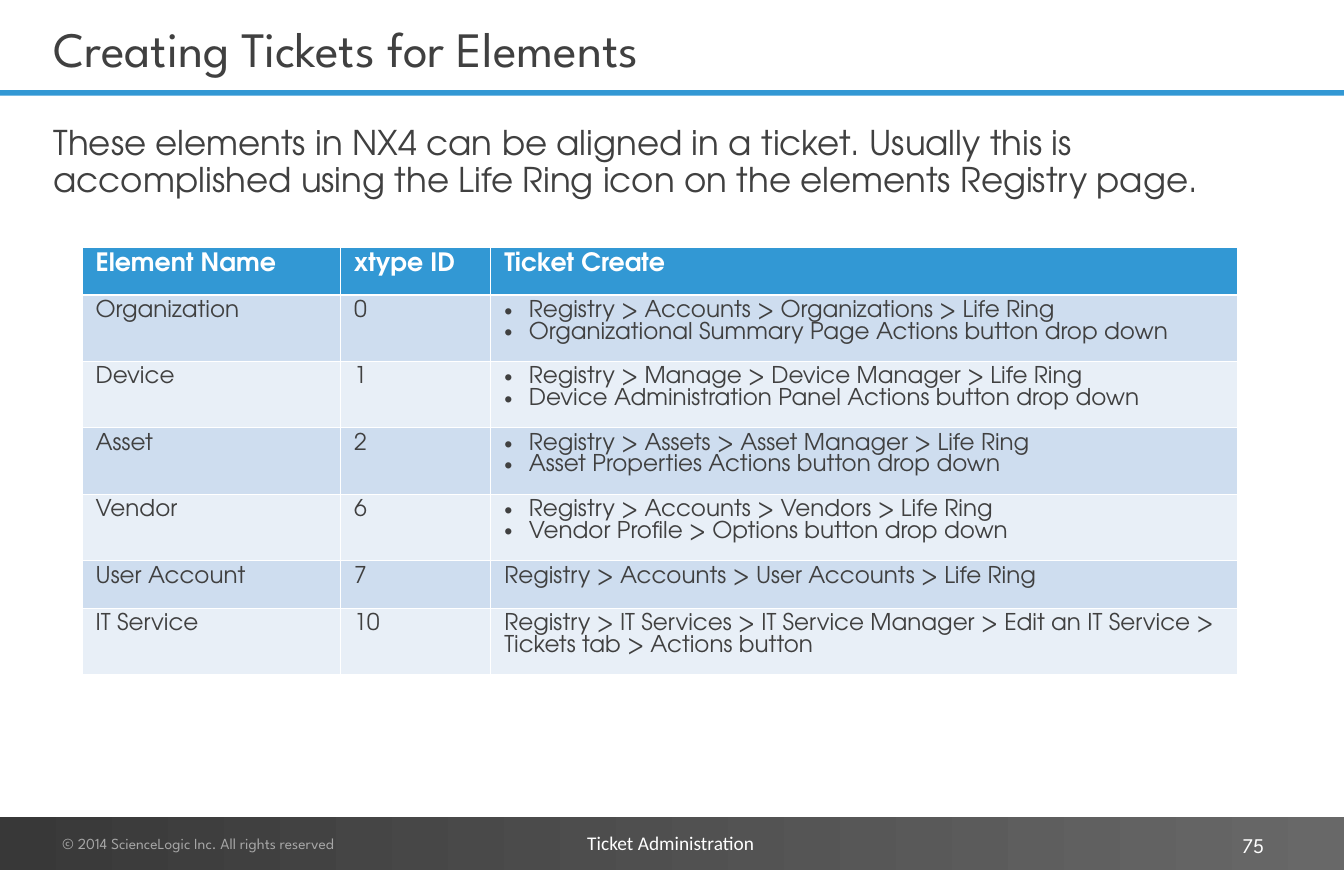
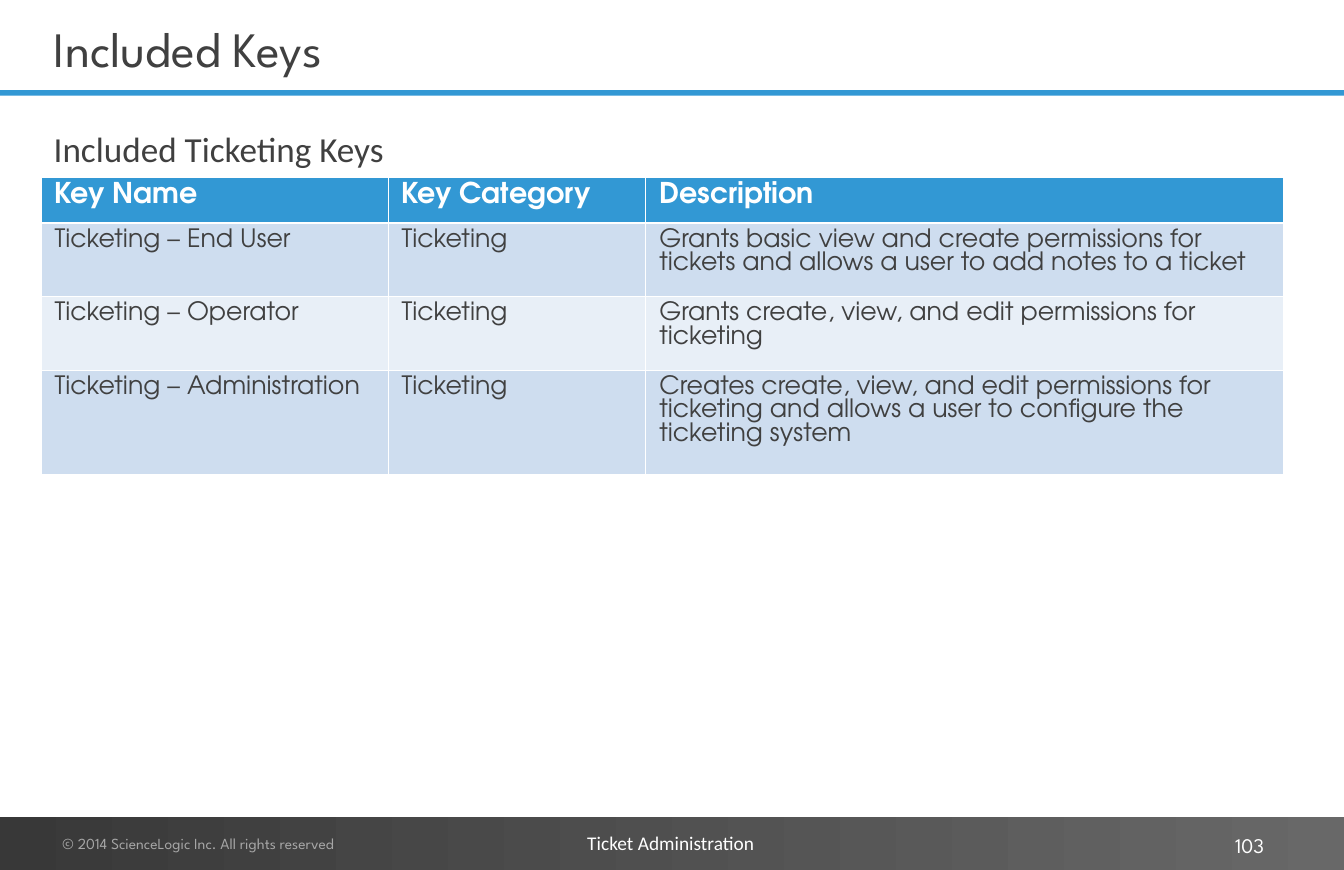
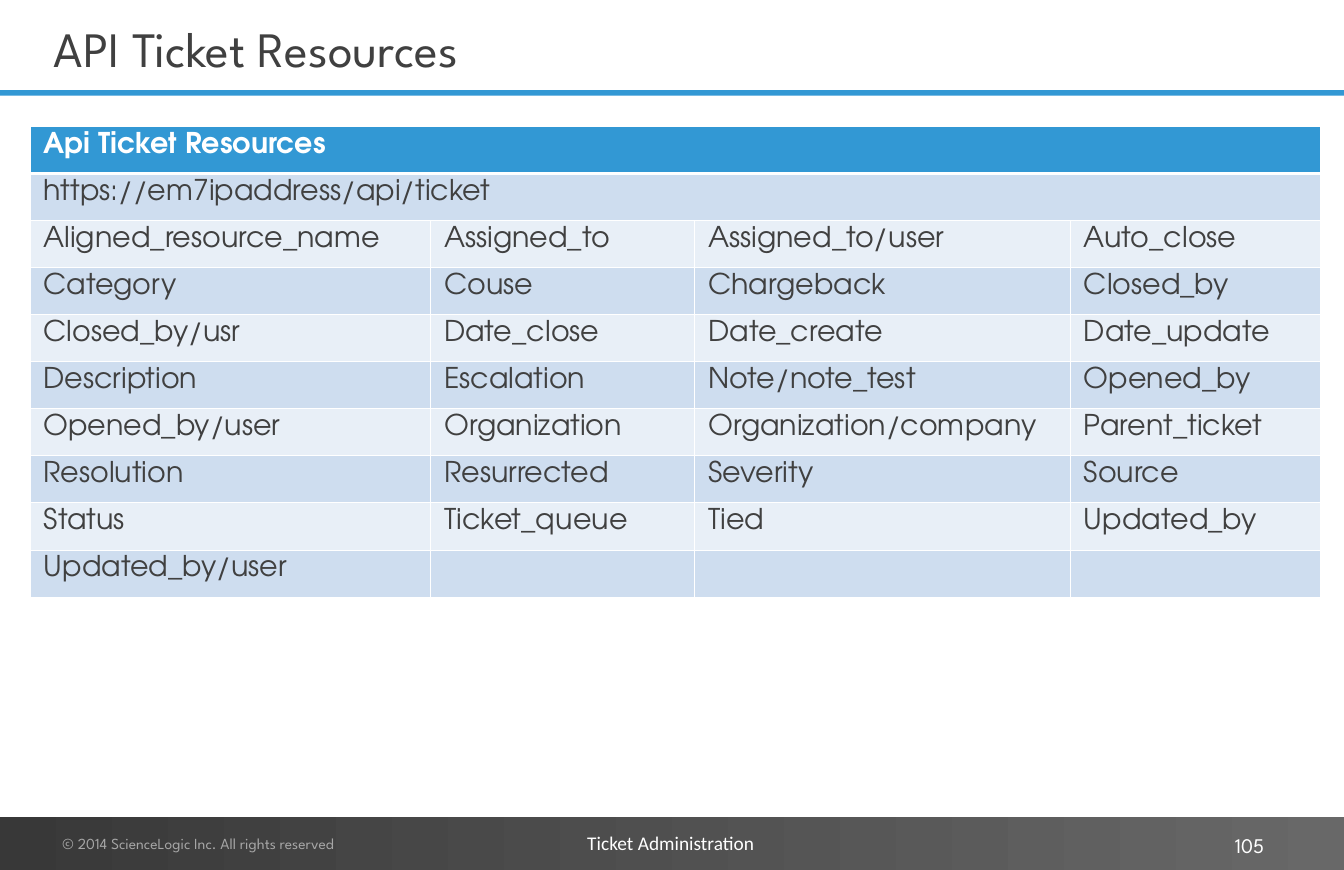
from lxml import etree
from pptx import Presentation
from pptx.dml.color import RGBColor as RGB
from pptx.enum.shapes import MSO_SHAPE as Shape
from pptx.enum.text import MSO_ANCHOR as Anchor, MSO_AUTO_SIZE as Fit, PP_ALIGN as Align
from pptx.oxml.ns import qn
from pptx.util import Inches, Pt

# Shared colours, fonts and sizes
BLUE = RGB(0x32, 0x98, 0xD4)
PALE = RGB(0xE8, 0xEF, 0xF7)
MID = RGB(0xCE, 0xDD, 0xEF)
DARK = RGB(0x40, 0x40, 0x40)
GREY = RGB(0xA6, 0xA6, 0xA6)
COAL = RGB(0x38, 0x38, 0x38)
ASH = RGB(0x68, 0x68, 0x68)
WHITE = RGB(0xFF, 0xFF, 0xFF)
HEAD, BODY, PLAIN = "League Spartan", "TeX Gyre Adventor", "Calibri"
WIDE, HIGH = 17, 11
LEFT = 0.52
PAD = (0.16, 0.08)


# Text
def add_run(par, text, size, font, color, bold=False):
    run = par.add_run()
    run.text = text
    run.font.size = Pt(size)
    run.font.name = font
    run.font.bold = bold
    run.font.color.rgb = color


def set_pad(frame, pad):
    frame.margin_left = frame.margin_right = Inches(pad[0])
    frame.margin_top = frame.margin_bottom = Inches(pad[1])


def add_text(slide, box, text, size, font, color, pad=PAD, wrap=True,
             align=Align.LEFT, anchor=Anchor.TOP, space=None):
    shape = slide.shapes.add_textbox(*map(Inches, box))
    frame = shape.text_frame
    frame.word_wrap = wrap
    frame.vertical_anchor = anchor
    set_pad(frame, pad)
    par = frame.paragraphs[0]
    par.alignment = align
    if space:
        par.line_spacing = space
    add_run(par, text, size, font, color)
    return shape


def set_title(slide, text):
    title = slide.shapes.title
    title.left, title.top = Inches(LEFT), Inches(0.02)
    title.width, title.height = Inches(14.85), Inches(1.17)
    frame = title.text_frame
    frame.word_wrap = True
    frame.auto_size = Fit.NONE
    frame.vertical_anchor = Anchor.MIDDLE
    set_pad(frame, PAD)
    par = frame.paragraphs[0]
    par.alignment = Align.LEFT
    add_run(par, text, 45, HEAD, DARK)


# Bands and copyright line, kept on the layout
def add_band(slide, top, height):
    band = slide.shapes.add_shape(
        Shape.RECTANGLE, 0, Inches(top), Inches(WIDE), Inches(height))
    band.shadow.inherit = False
    band.line.fill.background()
    return band


def set_frame(layout, slide):
    rule = add_band(slide, 1.14, 0.07)
    rule.fill.solid()
    rule.fill.fore_color.rgb = BLUE
    foot = add_band(slide, 10.33, 0.67)
    foot.fill.gradient()
    foot.fill.gradient_angle = 0
    for stop, color, spot in zip(foot.fill.gradient_stops, (COAL, ASH), (0, 1)):
        stop.color.rgb = color
        stop.position = spot
    legal = add_text(slide, (0.63, 10.47, 5, 0.4),
                     "© 2014 ScienceLogic Inc. All rights reserved", 14, HEAD, GREY)
    tree = layout.element.cSld.spTree
    for shape in (rule, foot, legal):
        tree.append(shape.element)


def add_foot(slide, page):
    add_text(slide, (12.18, 10.47, 3.97, 0.43), page, 19, HEAD, WHITE,
             align=Align.RIGHT, anchor=Anchor.MIDDLE)
    add_text(slide, (7.33, 10.46, 2.33, 0.4), "Ticket Administration",
             17.6, PLAIN, WHITE, pad=(0.1, 0.05), wrap=False)


# Tables
def set_edges(cell, row):
    top, low = (3 if row == 1 else 1), (3 if row == 0 else 1)
    props = cell._tc.get_or_add_tcPr()
    for side, width in (("L", 1), ("R", 1), ("T", top), ("B", low)):
        line = etree.SubElement(props, qn("a:ln" + side), w=str(Pt(width)))
        fill = etree.SubElement(line, qn("a:solidFill"))
        etree.SubElement(fill, qn("a:srgbClr"), val=str(WHITE))


def set_bullet(par):
    props = par._p.get_or_add_pPr()
    props.set("marL", str(Inches(0.31)))
    props.set("indent", str(-Inches(0.31)))
    etree.SubElement(props, qn("a:buFont"), typeface="Arial")
    etree.SubElement(props, qn("a:buChar"), char="•")


def fill_cell(cell, text, row, size):
    top = row == 0
    set_edges(cell, row)
    cell.fill.solid()
    cell.fill.fore_color.rgb = BLUE if top else MID if row % 2 else PALE
    set_pad(cell, (0.17, 0.07))
    items = [text] if isinstance(text, str) else text
    frame = cell.text_frame
    for i, item in enumerate(items):
        par = frame.add_paragraph() if i else frame.paragraphs[0]
        if len(items) > 1:
            set_bullet(par)
        if item:
            add_run(par, item, size, BODY, WHITE if top else DARK, top)


def add_grid(slide, spot, cols, highs, rows, head, size):
    """A row shorter than the grid is one cell across all columns."""
    grid = slide.shapes.add_table(
        len(rows), len(cols), *map(Inches, (*spot, sum(cols), sum(highs)))).table
    for col, width in zip(grid.columns, cols):
        col.width = Inches(width)
    for r, (row, high) in enumerate(zip(rows, highs)):
        grid.rows[r].height = Inches(high)
        for c in range(len(cols)):
            text = row[c] if c < len(row) else ""
            fill_cell(grid.cell(r, c), text, r, size if r else head)
        if len(row) < len(cols):
            grid.cell(r, 0).merge(grid.cell(r, len(cols) - 1))


# Content
ITEMS = [
    ("Element Name", "xtype ID", "Ticket Create"),
    ("Organization", "0", ("Registry > Accounts > Organizations > Life Ring",
                           "Organizational Summary Page Actions button drop down")),
    ("Device", "1", ("Registry > Manage > Device Manager > Life Ring",
                     "Device Administration Panel Actions button drop down")),
    ("Asset", "2", ("Registry > Assets > Asset Manager > Life Ring",
                    "Asset Properties Actions button drop down")),
    ("Vendor", "6", ("Registry > Accounts > Vendors > Life Ring",
                     "Vendor Profile > Options button drop down")),
    ("User Account", "7", "Registry > Accounts > User Accounts > Life Ring"),
    ("IT Service", "10", "Registry > IT Services > IT Service Manager > "
                         "Edit an IT Service > Tickets tab > Actions button"),
]
KEYS = [
    ("Key Name", "Key Category", "Description"),
    ("Ticketing – End User", "Ticketing",
     "Grants basic view and create permissions for tickets "
     "and allows a user to add notes to a ticket"),
    ("Ticketing – Operator", "Ticketing",
     "Grants create, view, and edit permissions for ticketing"),
    ("Ticketing – Administration", "Ticketing",
     "Creates create, view, and edit permissions for ticketing "
     "and allows a user to configure the ticketing system"),
]
FIELDS = [
    ("Api Ticket Resources",),
    ("https://em7ipaddress/api/ticket",),
    ("Aligned_resource_name", "Assigned_to", "Assigned_to/user", "Auto_close"),
    ("Category", "Couse", "Chargeback", "Closed_by"),
    ("Closed_by/usr", "Date_close", "Date_create", "Date_update"),
    ("Description", "Escalation", "Note/note_test", "Opened_by"),
    ("Opened_by/user", "Organization", "Organization/company", "Parent_ticket"),
    ("Resolution", "Resurrected", "Severity", "Source"),
    ("Status", "Ticket_queue", "Tied", "Updated_by"),
    ("Updated_by/user", "", "", ""),
]


def main():
    deck = Presentation()
    deck.slide_width, deck.slide_height = Inches(WIDE), Inches(HIGH)
    layout = deck.slide_layouts[5]
    slides = []
    for title, page in (("Creating Tickets for Elements", "75"),
                        ("Included Keys", "103"),
                        ("API Ticket Resources", "105")):
        slide = deck.slides.add_slide(layout)
        set_title(slide, title)
        add_foot(slide, page)
        slides.append(slide)
    first, second, third = slides
    set_frame(layout, first)

    # Elements
    add_text(first, (LEFT, 1.52, 15.63, 1.1),
             "These elements in NX4 can be aligned in a ticket. Usually this is "
             "accomplished using the Life Ring icon on the elements Registry page.",
             31, BODY, DARK, space=0.9)
    add_grid(first, (1.04, 3.13), (3.27, 1.9, 9.44),
             [0.6] + [0.83] * 4 + [0.6, 0.83], ITEMS, 23, 21)

    # Keys
    add_text(second, (LEFT, 1.53, 15.63, 0.82), "Included Ticketing Keys",
             32, PLAIN, DARK)
    add_grid(second, (LEFT, 2.24), (4.39, 3.26, 8.07),
             (0.58, 0.93, 0.93, 1.32), KEYS, 26, 23)

    # Resources
    add_grid(third, (0.38, 1.6), (5.07, 3.34, 4.75, 3.16),
             [5.95 / len(FIELDS)] * len(FIELDS), FIELDS, 26, 26)

    deck.save("out.pptx")


if __name__ == "__main__":
    main()
